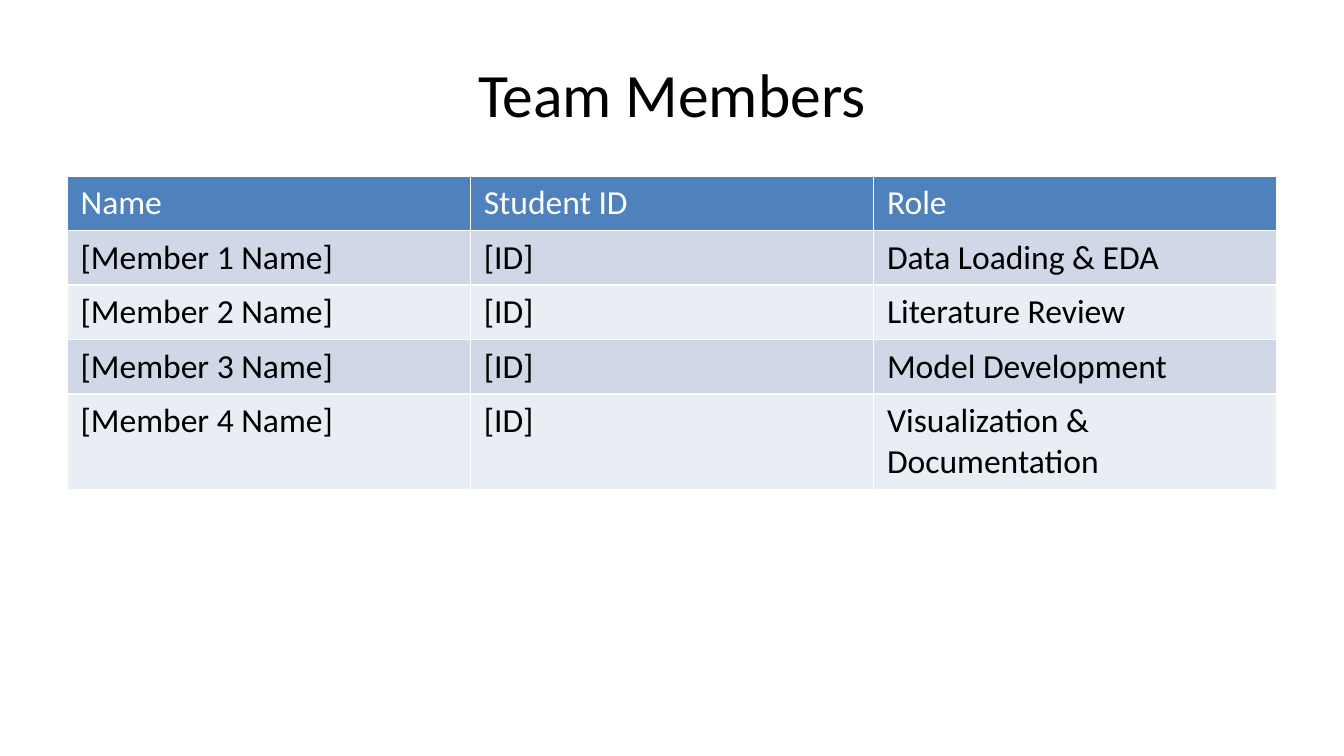
from pptx import Presentation
from pptx.dml.color import RGBColor
from pptx.enum.text import MSO_ANCHOR, PP_ALIGN
from pptx.util import Inches, Pt

CENTER = PP_ALIGN.CENTER
MIDDLE = MSO_ANCHOR.MIDDLE
TITLE_ONLY = 5
FONT = "Calibri"
COLORS = {
    "text": "000000",
    "header_text": "FFFFFF",
    "header": "4F81BD",
    "odd_row": "D0D8E8",
    "even_row": "E9EDF4",
}
WIDTH = 10
HEIGHT = WIDTH * 9 / 16
MARGIN = 0.05 * WIDTH
CONTENT_WIDTH = WIDTH - 2 * MARGIN
HEADINGS = ["Name", "Student ID", "Role"]
ROLES = [
    "Data Loading & EDA",
    "Literature Review",
    "Model Development",
    "Visualization & Documentation",
]


def color(key):
    return RGBColor.from_string(COLORS[key])


def format_text(frame, size, color_key):
    for paragraph in frame.paragraphs:
        for run in paragraph.runs:
            run.font.name = FONT
            run.font.size = Pt(size)
            run.font.bold = False
            run.font.color.rgb = color(color_key)


def add_title(slide, text):
    title = slide.shapes.title
    title.left, title.top = Inches(MARGIN), Inches(0.04 * HEIGHT)
    title.width, title.height = Inches(CONTENT_WIDTH), Inches(HEIGHT / 6)
    frame = title.text_frame
    frame.text = text
    frame.vertical_anchor = MIDDLE
    frame.paragraphs[0].alignment = CENTER
    format_text(frame, 33, "text")


def fill_cell(cell, text, fill_key, text_key):
    cell.text_frame.text = text
    cell.fill.solid()
    cell.fill.fore_color.rgb = color(fill_key)
    format_text(cell.text_frame, 18, text_key)


def add_member_table(slide, records):
    row_heights = [0.4] * (len(records) - 1) + [0.7]
    members = slide.shapes.add_table(
        len(records), len(HEADINGS), Inches(MARGIN), Inches(1.31),
        Inches(CONTENT_WIDTH), Inches(sum(row_heights)),
    ).table
    for index, record in enumerate(records):
        members.rows[index].height = Inches(row_heights[index])
        if index == 0:
            fill_key, text_key = "header", "header_text"
        else:
            fill_key, text_key = ("odd_row" if index % 2 else "even_row"), "text"
        for column, text in enumerate(record):
            fill_cell(members.cell(index, column), text, fill_key, text_key)


def main():
    deck = Presentation()
    deck.slide_width, deck.slide_height = Inches(WIDTH), Inches(HEIGHT)
    slide = deck.slides.add_slide(deck.slide_layouts[TITLE_ONLY])
    add_title(slide, "Team Members")
    members = [
        [f"[Member {number} Name]", "[ID]", role]
        for number, role in enumerate(ROLES, start=1)
    ]
    add_member_table(slide, [HEADINGS] + members)
    deck.save("out.pptx")


if __name__ == "__main__":
    main()
